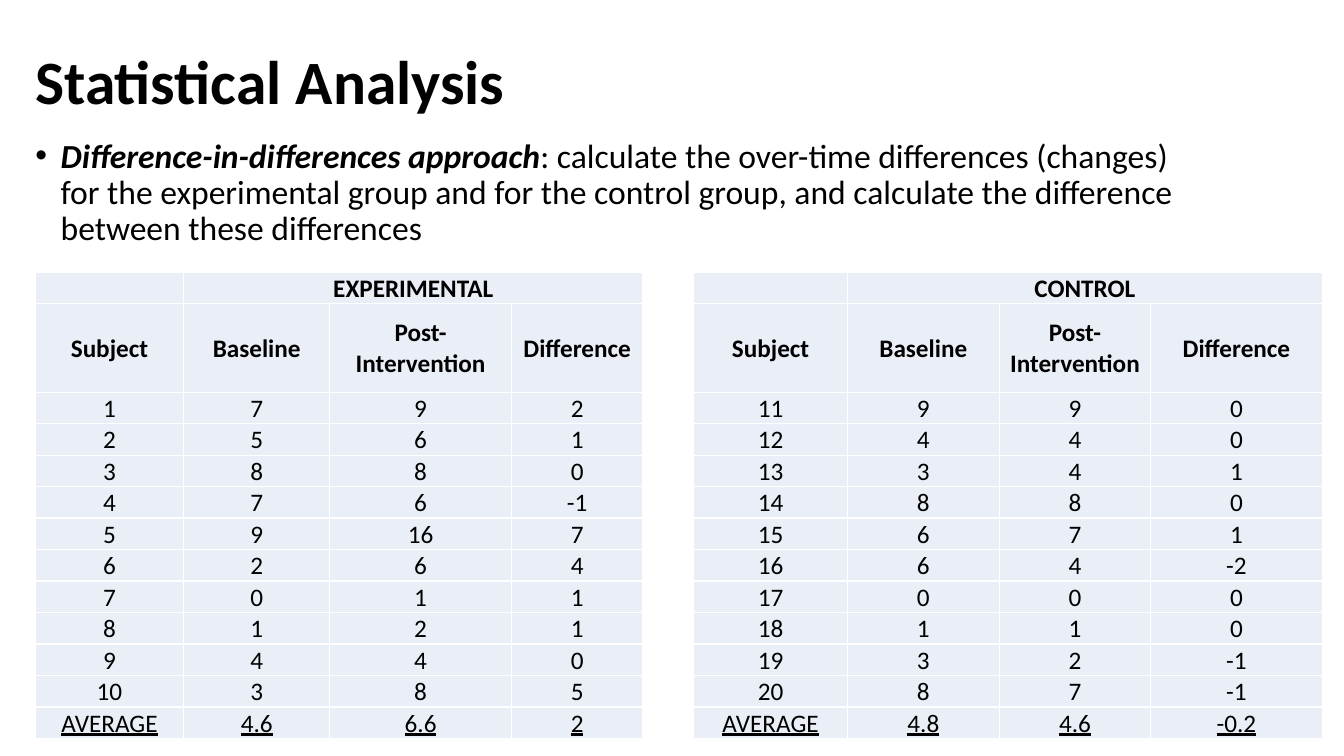
from lxml.etree import SubElement
from pptx import Presentation
from pptx.dml.color import RGBColor
from pptx.enum.text import MSO_ANCHOR, PP_ALIGN
from pptx.oxml.ns import qn
from pptx.util import Cm, Pt

TITLE = "Statistical Analysis"
APPROACH = "Difference-in-differences approach"
EXPLANATION = (": calculate the over-time differences (changes) for the experimental group "
               "and for the control group, and calculate the difference between these differences")
HEADINGS = ["Subject", "Baseline", "Post-Intervention", "Difference"]
GROUPS = [
    {"name": "EXPERIMENTAL", "first_subject": 1, "left": 0.89, "widths": [3.74, 3.68, 4.58, 3.31],
     "baseline": [7, 5, 8, 7, 9, 2, 0, 1, 4, 3],
     "post": [9, 6, 8, 6, 16, 6, 1, 2, 4, 8]},
    {"name": "CONTROL", "first_subject": 11, "left": 17.48, "widths": [3.88, 3.82, 3.82, 4.32],
     "baseline": [9, 4, 3, 8, 6, 6, 0, 1, 3, 8],
     "post": [9, 4, 4, 8, 7, 4, 0, 1, 2, 7]},
]

TABLE_TOP = 6.86
ROW_HEIGHT, HEADING_HEIGHT = 0.74, 2.23
TEXT_LEFT, TEXT_WIDTH = 0.64, 29.21
BULLET_INDENT = Cm(0.64)
CELL_FORMAT = {"margin_left": Cm(0.03), "margin_right": Cm(0.03), "margin_top": Cm(0.03),
               "margin_bottom": 0, "vertical_anchor": MSO_ANCHOR.MIDDLE}
BLACK, WHITE, PALE_BLUE = "000000", "FFFFFF", "EAEFF7"


def color(hex_value):
    return RGBColor.from_string(hex_value)


def set_attributes(target, values):
    for name, value in values.items():
        setattr(target, name, value)


def add_run(paragraph, text, size, **font_format):
    run = paragraph.add_run()
    run.text = text
    set_attributes(run.font, {"name": "Calibri", "size": Pt(size), **font_format})
    run.font.color.rgb = color(BLACK)


def add_text_box(slide, top, height, anchor):
    """Add a wrapped text box and return its first paragraph."""
    box = slide.shapes.add_textbox(Cm(TEXT_LEFT), Cm(top), Cm(TEXT_WIDTH), Cm(height))
    set_attributes(box.text_frame, {"word_wrap": True, "vertical_anchor": anchor})
    paragraph = box.text_frame.paragraphs[0]
    paragraph.line_spacing = 0.9
    return paragraph


def add_bullet(paragraph):
    properties = paragraph._p.get_or_add_pPr()
    properties.set("marL", str(BULLET_INDENT))
    properties.set("indent", str(-BULLET_INDENT))
    SubElement(properties, qn("a:buFont"), typeface="Arial")
    SubElement(properties, qn("a:buChar"), char="•")


def format_cell(cell):
    """Apply margins, white borders and the pale fill."""
    set_attributes(cell, CELL_FORMAT)
    properties = cell._tc.get_or_add_tcPr()
    for side in ("lnL", "lnR", "lnT", "lnB"):
        line = SubElement(properties, qn(f"a:{side}"), w=str(Pt(1)))
        SubElement(SubElement(line, qn("a:solidFill")), qn("a:srgbClr"), val=WHITE)
    cell.fill.solid()
    cell.fill.fore_color.rgb = color(PALE_BLUE)


def group_rows(group):
    """Return all table rows, with differences and averages worked out."""
    measures = [(before, after, after - before)
                for before, after in zip(group["baseline"], group["post"])]
    subjects = [(number, *values)
                for number, values in enumerate(measures, group["first_subject"])]
    averages = [f"{sum(column) / len(column):g}" for column in zip(*measures)]
    return [["", group["name"], "", ""], HEADINGS, *subjects, ["AVERAGE", *averages]]


def add_group_table(slide, group):
    rows = group_rows(group)
    heights = [ROW_HEIGHT] * len(rows)
    heights[1] = HEADING_HEIGHT
    widths = group["widths"]
    frame = slide.shapes.add_table(len(rows), len(widths), Cm(group["left"]), Cm(TABLE_TOP),
                                   Cm(sum(widths)), Cm(sum(heights)))
    table = frame.table
    set_attributes(table, {"first_row": False, "horz_banding": False})
    for column, width in zip(table.columns, widths):
        column.width = Cm(width)
    for row, height in zip(table.rows, heights):
        row.height = Cm(height)
    table.cell(0, 1).merge(table.cell(0, 3))
    for row_index, values in enumerate(rows):
        for column_index, value in enumerate(values):
            cell = table.cell(row_index, column_index)
            format_cell(cell)
            if value == "":
                continue
            paragraph = cell.text_frame.paragraphs[0]
            paragraph.alignment = PP_ALIGN.CENTER
            add_run(paragraph, str(value), 18, bold=row_index < 2,
                    underline=row_index == len(rows) - 1)


def main():
    presentation = Presentation()
    set_attributes(presentation, {"slide_width": Cm(33.87), "slide_height": Cm(19.05)})
    slide = presentation.slides.add_slide(presentation.slide_layouts[6])

    title = add_text_box(slide, 0.3, 3.68, MSO_ANCHOR.MIDDLE)
    add_run(title, TITLE, 44, bold=True)

    body = add_text_box(slide, 3.38, 12.09, MSO_ANCHOR.TOP)
    body.space_before = Pt(10)
    add_bullet(body)
    add_run(body, APPROACH, 24, bold=True, italic=True)
    add_run(body, EXPLANATION, 24)

    for group in GROUPS:
        add_group_table(slide, group)
    presentation.save("out.pptx")


if __name__ == "__main__":
    main()
